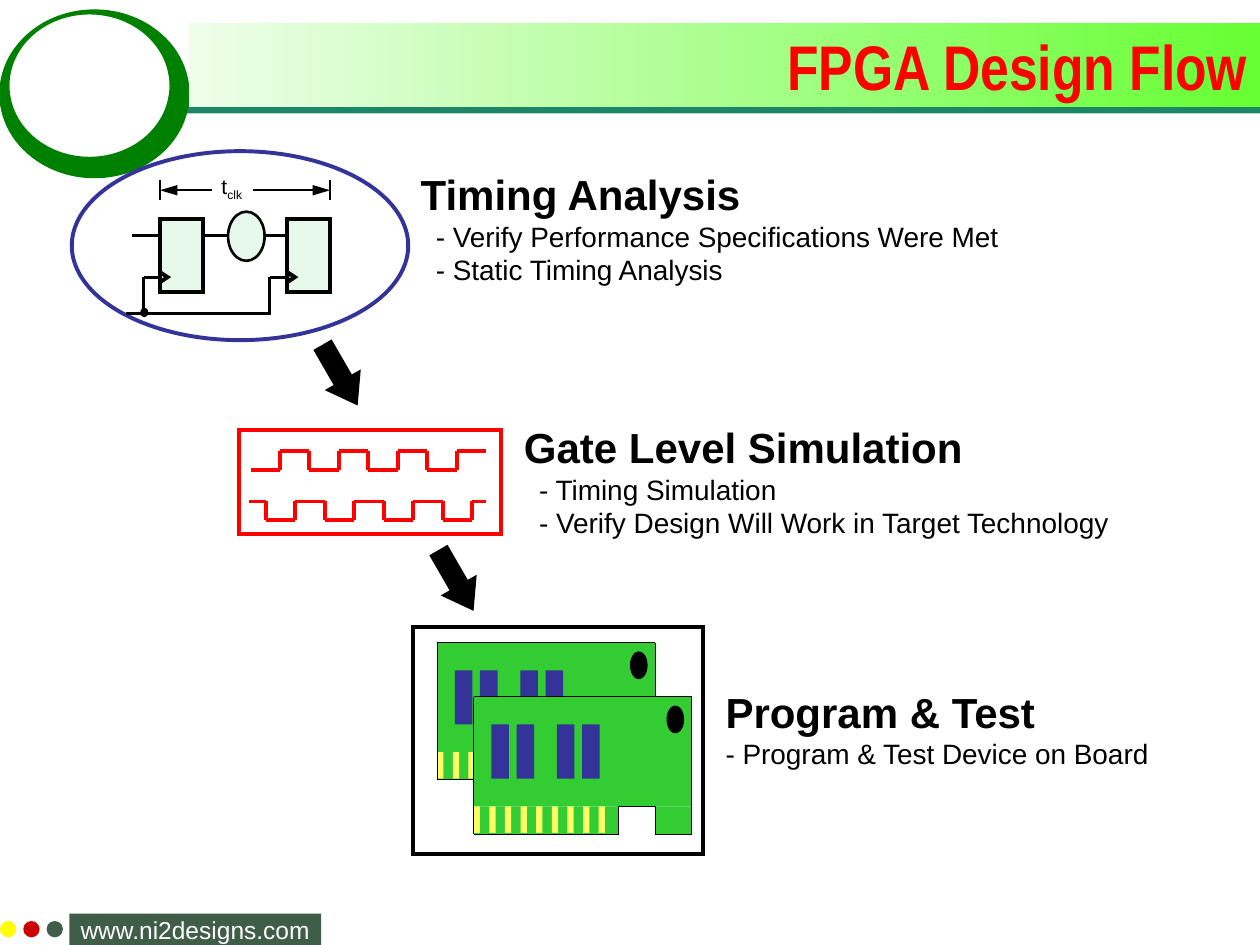
import dataclasses
import itertools

import lxml.etree
import pptx
import pptx.dml.color
import pptx.enum.shapes
import pptx.enum.text
import pptx.oxml.ns
import pptx.util

Inches = pptx.util.Inches
Kind = pptx.enum.shapes.MSO_SHAPE
Align = pptx.enum.text.PP_ALIGN
Anchor = pptx.enum.text.MSO_ANCHOR


@dataclasses.dataclass(frozen=True)
class Theme:
    """Colours, fonts and type sizes of the slide."""
    black: str = "000000"
    white: str = "FFFFFF"
    red: str = "FF0000"
    navy: str = "333399"
    ring: str = "008000"
    rule: str = "1E8668"
    footer: str = "3F5D49"
    dots: tuple = ("FFFF00", "CC0000", "3F5D49")
    band_green: str = "66FF33"
    band_pale: str = "EEFEE9"
    mint: str = "E7F9EB"
    board: str = "33CC33"
    contact: str = "FFFF66"
    font: str = "Arial"
    title_font: str = "Arial Narrow"
    title: int = 36
    heading: int = 24
    body: int = 16
    address: int = 14
    label: int = 12


THEME = Theme()


def rgb(value):
    """Turn a hex string into a colour."""
    return pptx.dml.color.RGBColor.from_string(value)


def add_shape(slide, kind, left, top, width, height, fill, line=None, weight=0.75):
    """Add a filled preset shape, with a sharp-cornered outline if a line colour is given."""
    shape = slide.shapes.add_shape(kind, Inches(left), Inches(top), Inches(width), Inches(height))
    shape.shadow.inherit = False
    shape.fill.solid()
    shape.fill.fore_color.rgb = rgb(fill)
    if line:
        shape.line.color.rgb = rgb(line)
        shape.line.width = pptx.util.Pt(weight)
        outline = shape.line._get_or_add_ln()
        lxml.etree.SubElement(outline, pptx.oxml.ns.qn("a:miter"), lim="800000")
    else:
        shape.line.fill.background()
    return shape


def add_line(slide, start, end, color, weight, arrow=False):
    """Add a straight line, with an arrowhead at its end if asked."""
    line = slide.shapes.add_connector(
        pptx.enum.shapes.MSO_CONNECTOR.STRAIGHT, *(Inches(value) for value in (*start, *end)))
    line.line.color.rgb = rgb(color)
    line.line.width = pptx.util.Pt(weight)
    if arrow:
        outline = line.line._get_or_add_ln()
        lxml.etree.SubElement(outline, pptx.oxml.ns.qn("a:tailEnd"), type="triangle", len="lg")
    lxml.etree.SubElement(line._element.spPr, pptx.oxml.ns.qn("a:effectLst"))


def add_path(slide, points, color, weight):
    """Join successive points with straight lines."""
    for start, end in itertools.pairwise(points):
        add_line(slide, start, end, color, weight)


def add_run(paragraph, text, size, color=THEME.black, bold=False, font=THEME.font):
    """Add one formatted run to a paragraph."""
    run = paragraph.add_run()
    run.text = text
    run.font.name = font
    run.font.size = pptx.util.Pt(size)
    run.font.bold = bold
    run.font.color.rgb = rgb(color)
    return run


def add_text_box(slide, left, top, width, height):
    """Add an empty wrapping text box and return its frame."""
    frame = slide.shapes.add_textbox(Inches(left), Inches(top), Inches(width), Inches(height)).text_frame
    frame.word_wrap = True
    return frame


def add_step(slide, left, top, width, heading, details, indent=0.12):
    """Add a step heading with its indented detail lines."""
    frame = add_text_box(slide, left, top, width, 1.03)
    add_run(frame.paragraphs[0], heading, THEME.heading, bold=True)
    for detail in details:
        paragraph = frame.add_paragraph()
        paragraph._p.get_or_add_pPr().set("marL", str(Inches(indent)))
        add_run(paragraph, detail, THEME.body)


def add_frame(slide):
    """Add the title band, ring and footer."""
    address = add_shape(slide, Kind.RECTANGLE, 0.55, 7.25, 2, 0.25, THEME.footer).text_frame
    address.word_wrap = False
    address.vertical_anchor = Anchor.MIDDLE
    address.paragraphs[0].alignment = Align.CENTER
    add_run(address.paragraphs[0], "www.ni2designs.com", THEME.address, THEME.white)
    for index, color in enumerate(THEME.dots):
        add_shape(slide, Kind.OVAL, 0.185 * index, 7.31, 0.13, 0.13, color)
    add_shape(slide, Kind.RECTANGLE, 1.08, 0.82, 8.92, 0.08, THEME.rule)
    add_shape(slide, Kind.OVAL, 0, 0.08, 1.5, 1.33, THEME.ring, THEME.ring)
    add_shape(slide, Kind.OVAL, 0.07, 0.11, 1.28, 1.14, THEME.white, THEME.ring)

    band = add_shape(slide, Kind.RECTANGLE, 1.5, 0.18, 8.5, 0.67, THEME.band_green)
    band.fill.gradient()
    band.fill.gradient_angle = 180
    for stop, position, color in zip(band.fill.gradient_stops, (0, 1), (THEME.band_green, THEME.band_pale)):
        stop.position = position
        stop.color.rgb = rgb(color)
    band.text_frame.word_wrap = True
    band.text_frame.vertical_anchor = Anchor.MIDDLE
    title = band.text_frame.paragraphs[0]
    title.alignment = Align.RIGHT
    add_run(title, "FPGA Design Flow", THEME.title, THEME.red, True, THEME.title_font)


def add_timing_diagram(slide):
    """Draw two clocked registers with the clock period marked."""
    black = THEME.black
    add_shape(slide, Kind.OVAL, 0.57, 1.2, 2.67, 1.5, THEME.white, THEME.navy, 2.25)
    add_line(slide, (1.05, 1.87), (2.27, 1.87), black, 1.5)
    add_line(slide, (1, 2.49), (2.14, 2.49), black, 1.5)
    for left in (1.27, 2.27):
        add_path(slide, [(left, 2.2), (left - 0.13, 2.2), (left - 0.13, 2.5)], black, 1.5)
    add_shape(slide, Kind.OVAL, 1.12, 2.45, 0.05, 0.06, black, black, 1)
    add_shape(slide, Kind.OVAL, 1.81, 1.68, 0.29, 0.39, THEME.mint, black, 1.5)
    for left in (1.27, 2.28):
        add_shape(slide, Kind.RECTANGLE, left, 1.74, 0.34, 0.58, THEME.mint, black, 2.25)
        clock = add_shape(slide, Kind.ISOSCELES_TRIANGLE, left - 0.01, 2.17, 0.08, 0.06, THEME.mint, black, 2.25)
        clock.rotation = 90
    for start, end in ((1.68, 1.27), (2.01, 2.62)):
        add_line(slide, (end, 1.43), (end, 1.59), black, 1)
        add_line(slide, (start, 1.51), (end, 1.51), black, 1, arrow=True)
    label = add_text_box(slide, 1.66, 1.33, 0.5, 0.33).paragraphs[0]
    add_run(label, "t", THEME.label)
    add_run(label, "clk", THEME.label).font._element.set("baseline", "-25000")


def add_wave(slide, start, first_edge, edge_count, levels):
    """Draw a square wave that begins at the first of two levels."""
    points = [(start, levels[0])]
    for index in range(edge_count):
        edge = first_edge + 0.234 * index
        points += [(edge, levels[index % 2]), (edge, levels[(index + 1) % 2])]
    points.append((3.86, levels[edge_count % 2]))
    add_path(slide, points, THEME.red, 2.25)


def add_board(slide, left, top, contact_count):
    """Draw a circuit board with chips, a hole and edge contacts."""
    edge, right, bottom = top + 0.87, left + 1.73, top + 1.09
    add_shape(slide, Kind.RECTANGLE, left, edge, 1.15, 0.22, THEME.board)
    add_shape(slide, Kind.RECTANGLE, left, top, 1.73, 0.87, THEME.board)
    add_shape(slide, Kind.OVAL, left + 1.53, top + 0.07, 0.14, 0.22, THEME.black)
    for index in range(contact_count):
        add_shape(slide, Kind.RECTANGLE, left + 0.124 * index, edge, 0.05, 0.21, THEME.contact)
    for offset in (0.14, 0.34, 0.66, 0.86):
        add_shape(slide, Kind.RECTANGLE, left + offset, top + 0.22, 0.14, 0.43, THEME.navy)
    outline = [(left + 1.15, bottom), (left, bottom), (left, top), (right, top), (right, bottom)]
    add_path(slide, outline, THEME.black, 0.5)


def add_boards(slide):
    """Draw the framed pair of overlapping boards."""
    add_shape(slide, Kind.RECTANGLE, 3.28, 4.98, 2.3, 1.8, THEME.white, THEME.black, 2.25)
    add_board(slide, 3.47, 5.1, 3)
    add_shape(slide, Kind.RECTANGLE, 5.2, 6.4, 0.29, 0.22, THEME.board)
    add_board(slide, 3.76, 5.53, 9)
    notch = [(4.91, 6.62), (4.91, 6.4), (5.2, 6.4), (5.2, 6.62), (5.49, 6.62)]
    add_path(slide, notch, THEME.black, 0.5)


def add_flow_arrow(slide, left, top):
    """Add a tilted block arrow leading to the next step."""
    arrow = add_shape(slide, Kind.DOWN_ARROW, left, top, 0.25, 0.5, THEME.black, THEME.black, 3)
    arrow.adjustments[1] = 0.714
    arrow.rotation = 330


def main():
    """Build the slide and save it."""
    presentation = pptx.Presentation()
    presentation.slide_width, presentation.slide_height = Inches(10), Inches(7.5)
    slide = presentation.slides.add_slide(presentation.slide_layouts[6])
    add_frame(slide)
    add_timing_diagram(slide)
    add_step(slide, 3.24, 1.29, 5.25, "Timing Analysis",
             ["- Verify Performance Specifications Were Met", "- Static Timing Analysis"])
    add_flow_arrow(slide, 2.57, 2.72)
    add_shape(slide, Kind.RECTANGLE, 1.9, 3.41, 2.08, 0.83, THEME.white, THEME.red, 2.25)
    add_wave(slide, 1.99, 2.22, 7, (3.73, 3.58))
    add_wave(slide, 1.98, 2.11, 8, (3.98, 4.13))
    add_step(slide, 4.06, 3.3, 5.58, "Gate Level Simulation",
             ["- Timing Simulation", "- Verify Design Will Work in Target Technology"])
    add_flow_arrow(slide, 3.49, 4.35)
    add_boards(slide)
    add_step(slide, 5.66, 5.4, 3.98, "Program & Test", ["- Program & Test Device on Board"], indent=0)
    presentation.save("out.pptx")


if __name__ == "__main__":
    main()
